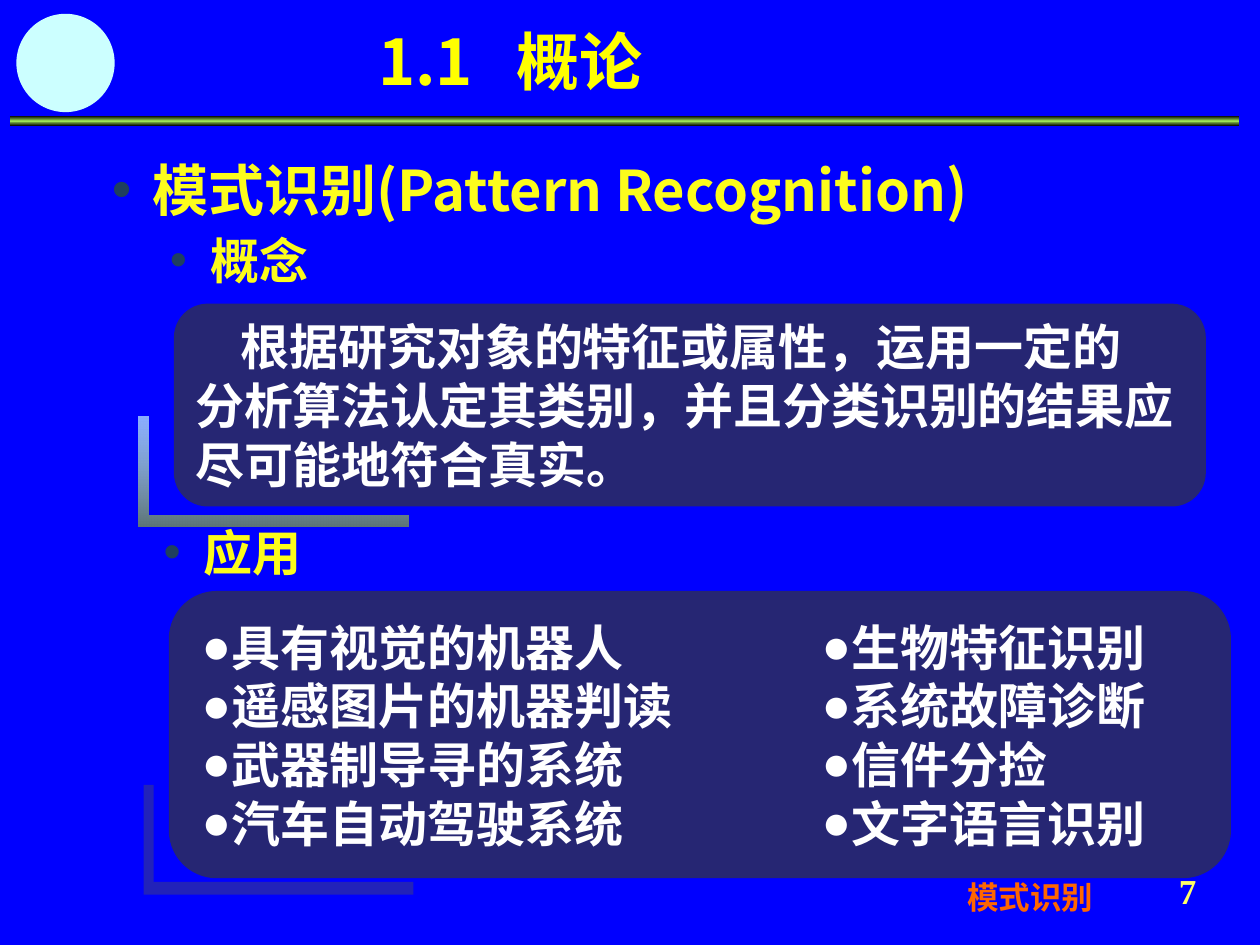
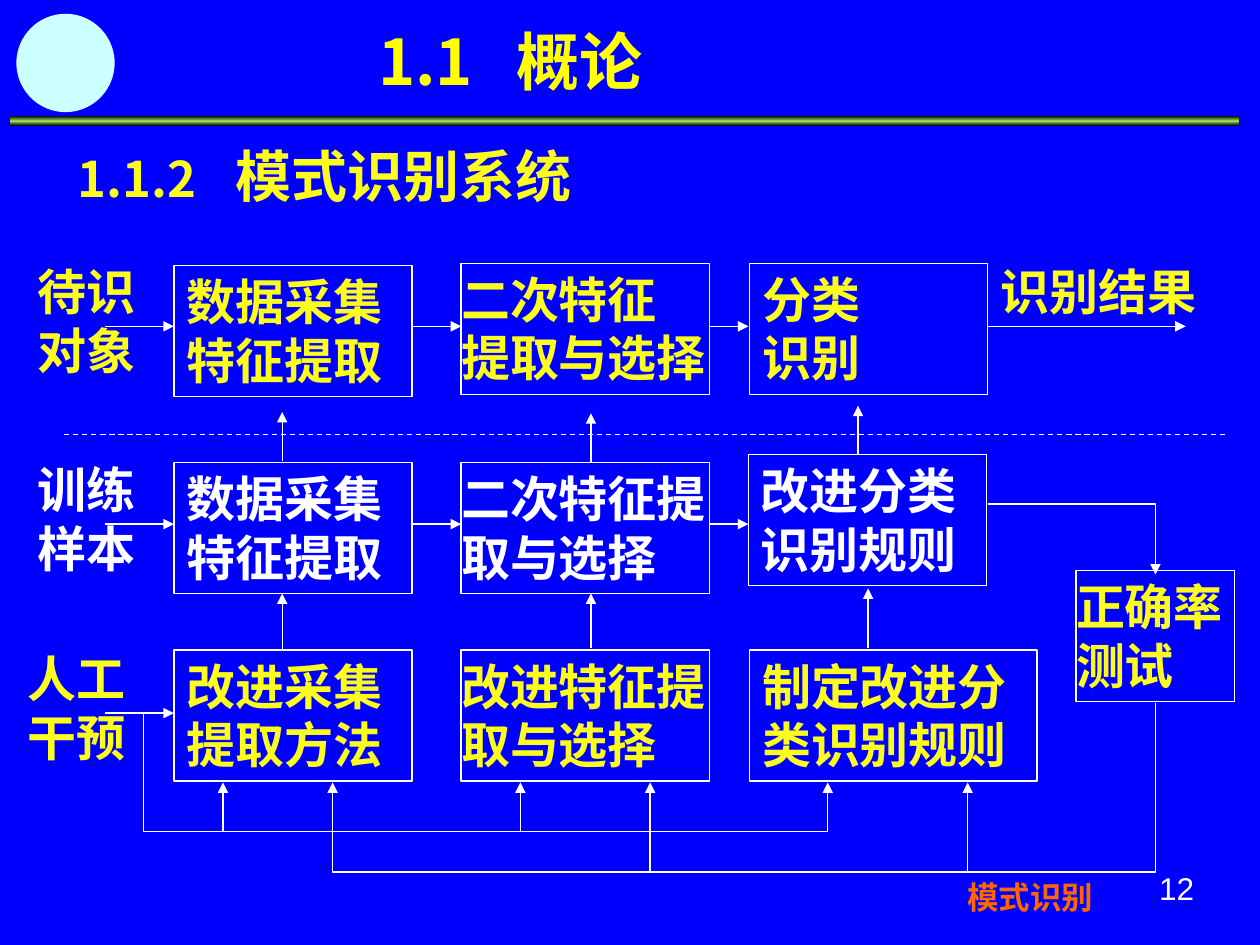
from dataclasses import dataclass

from lxml import etree
from pptx import Presentation
from pptx import util as u
from pptx.dml.color import RGBColor
from pptx.enum import dml, shapes as kinds, text
from pptx.oxml.ns import qn


@dataclass(frozen=True)
class Theme:
    back: str = "0000FF"
    title: str = "FFFF00"
    main: str = "FCFC1C"
    white: str = "FFFFFF"
    panel: str = "262673"
    dot: str = "1F3F5F"
    disc: str = "CCFFFF"
    edge: str = "000000"
    band: str = "9CE157"
    steel: str = "5E7676"
    haze: str = "333399"
    foot: str = "FF6600"
    page: str = "FFFF66"
    font: str = "Noto Sans CJK SC"
    latin: str = "Arial"
    serif: str = "Times New Roman"
    big: int = 36
    head: int = 32
    body: int = 28
    num: int = 20
    note: int = 18
    lead: float = 1.195


T = Theme()
RECT = kinds.MSO_SHAPE.RECTANGLE
ROUND = kinds.MSO_SHAPE.ROUNDED_RECTANGLE


def rgb(code):
    return RGBColor.from_string(code)


def inch(*vals):
    return [u.Inches(v) for v in vals]


def add(parent, tag, **attrs):
    """Append a DrawingML child with the given attributes."""
    node = etree.SubElement(parent, qn("a:" + tag))
    for key, val in attrs.items():
        node.set(key, str(val))
    return node


def place(shape, box):
    for key, val in zip(("left", "top", "width", "height"), inch(*box)):
        setattr(shape, key, val)


def write(shape, paras, size=T.body, color=T.main, name=T.font, bold=True,
          align=text.PP_ALIGN.LEFT, anchor=text.MSO_ANCHOR.TOP,
          side=0.1, lead=T.lead):
    """Fill a shape with paragraphs; each is a string or (string, size) runs."""
    frame = shape.text_frame
    ends = inch(side, 0.05)
    form = {"word_wrap": True, "auto_size": text.MSO_AUTO_SIZE.NONE,
            "vertical_anchor": anchor, "margin_left": ends[0],
            "margin_right": ends[0], "margin_top": ends[1],
            "margin_bottom": ends[1]}
    for key, val in form.items():
        setattr(frame, key, val)
    for i, para in enumerate(paras):
        par = frame.add_paragraph() if i else frame.paragraphs[0]
        runs = [(para, size)] if isinstance(para, str) else para
        tall = max(pts for _, pts in runs)
        form = {"alignment": align, "space_before": u.Pt(0),
                "line_spacing": u.Pt(round(tall * lead, 1))}
        for key, val in form.items():
            setattr(par, key, val)
        for words, pts in runs:
            run = par.add_run()
            run.text = words
            form = {"size": u.Pt(pts), "bold": bold, "name": name}
            for key, val in form.items():
                setattr(run.font, key, val)
            run.font.color.rgb = rgb(color)
    for props in shape.element.iter(qn("a:rPr")):
        add(props, "ea", typeface=T.font)


def note(slide, box, paras, **form):
    shape = slide.shapes.add_textbox(*inch(*box))
    write(shape, paras, **form)
    return shape


def bullet(shape, char, color, gap):
    for props in shape.element.iter(qn("a:pPr")):
        props.set("marL", str(u.Inches(gap)))
        props.set("indent", str(-u.Inches(gap)))
        add(add(props, "buClr"), "srgbClr", val=color)
        add(props, "buFont", typeface=T.latin)
        add(props, "buChar", char=char)


def tab(shape, pos):
    for props in shape.element.iter(qn("a:pPr")):
        add(add(props, "tabLst"), "tab", pos=u.Inches(pos), algn="l")


def plain(shape, fill=None):
    """Drop shadow and outline, and set a solid fill or none."""
    shape.shadow.inherit = False
    shape.line.fill.background()
    if fill:
        shape.fill.solid()
        shape.fill.fore_color.rgb = rgb(fill)
    else:
        shape.fill.background()


def block(slide, kind, box, fill=None):
    shape = slide.shapes.add_shape(kind, *inch(*box))
    plain(shape, fill)
    return shape


def grade(shape, stops):
    """Vertical gradient from (percent, colour, opacity) stops."""
    shape.fill.gradient()
    shape.fill.gradient_angle = 270
    bag = next(shape.element.iter(qn("a:gsLst")))
    for old in list(bag):
        bag.remove(old)
    for pos, color, alpha in stops:
        tone = add(add(bag, "gs", pos=pos * 1000), "srgbClr", val=color)
        if alpha < 100:
            add(tone, "alpha", val=alpha * 1000)


def trace(slide, pts, close):
    pts = [inch(*pt) for pt in pts]
    pen = slide.shapes.build_freeform(*pts[0], scale=1.0)
    pen.add_line_segments(pts[1:], close=close)
    shape = pen.convert_to_shape()
    plain(shape)
    return shape


def ink(shape):
    shape.line.color.rgb = rgb(T.white)
    shape.line.width = u.Pt(0.75)


def link(slide, *pts, dash=False):
    """Straight connector or bent outline; an arrow unless dashed."""
    if len(pts) == 2:
        shape = slide.shapes.add_connector(
            kinds.MSO_CONNECTOR.STRAIGHT, *inch(*pts[0], *pts[1]))
        add(shape.element.spPr, "effectLst")
    else:
        shape = trace(slide, pts, False)
    ink(shape)
    if dash:
        shape.line.dash_style = dml.MSO_LINE.DASH
    else:
        add(shape.element.spPr.find(qn("a:ln")), "tailEnd", type="triangle")


def base(deck, layout, page, **form):
    """New slide with the shared title, band, disc, footer and page number."""
    slide = deck.slides.add_slide(deck.slide_layouts[layout])
    band = block(slide, RECT, (0.08, 0.92, 9.75, 0.08))
    grade(band, [(0, T.edge, 100), (50, T.band, 100), (100, T.edge, 100)])
    block(slide, kinds.MSO_SHAPE.OVAL, (0.13, 0.11, 0.78, 0.78), T.disc)
    note(slide, (7.58, 6.92, 1.68, 0.4), ["模式识别"], size=T.note,
         color=T.foot, name=T.latin)
    note(slide, (9.1, 6.85, 0.65, 0.52), [page], **form)
    title = slide.shapes.title
    place(title, (2.9, -0.02, 2.82, 0.85))
    write(title, ["1.1\t概论"], size=T.big, color=T.title,
          lead=T.lead * 1.25)
    tab(title, 1.1)
    return slide


def corner(slide, left, top):
    wide, high, bar, foot = 2.14, 0.87, 0.08, 0.1
    spots = [(bar, high - foot), (bar, 0), (0, 0), (0, high),
             (wide, high), (wide, high - foot)]
    return trace(slide, [(left + x, top + y) for x, y in spots], True)


def panel(slide, box):
    shape = block(slide, ROUND, box, T.panel)
    shape.adjustments[0] = 0.167
    return shape


def topic(slide, box, words, size=T.body):
    shape = note(slide, box, [words], size=size)
    bullet(shape, "•", T.dot, 0.32)


def column(slide, index, box, items):
    """Bulleted list in a body placeholder, brought in front of the panel."""
    body = slide.placeholders[index]
    place(body, box)
    write(body, items, color=T.white)
    bullet(body, "●", T.white, 0.24)
    body.element.getparent().append(body.element)


def concept(deck):
    slide = base(deck, 3, "7", size=T.num, color=T.page, name=T.serif,
                 align=text.PP_ALIGN.CENTER)
    low = corner(slide, 1.14, 6.23)
    low.fill.solid()
    low.fill.fore_color.rgb = rgb(T.haze)
    add(next(low.element.iter(qn("a:srgbClr"))), "alpha", val=68000)
    grade(corner(slide, 1.1, 3.31), [(0, T.disc, 68), (100, T.steel, 100)])

    topic(slide, (0.79, 1.19, 7.48, 0.75), "模式识别(Pattern Recognition)", T.head)
    topic(slide, (1.25, 1.78, 1.5, 0.57), "概念")
    topic(slide, (1.2, 4.1, 1.5, 0.57), "应用")

    idea = panel(slide, (1.38, 2.41, 8.19, 1.61))
    write(idea, ["根据研究对象的特征或属性，运用一定的",
                 "分析算法认定其类别，并且分类识别的结果应",
                 "尽可能地符合真实。"],
          color=T.white, anchor=text.MSO_ANCHOR.MIDDLE, side=0.02)
    for i, props in enumerate(idea.element.iter(qn("a:pPr"))):
        props.set("marL", str(u.Inches(0.07)))
        props.set("indent", str(u.Inches(0 if i else 0.36)))

    panel(slide, (1.34, 4.69, 8.43, 2.28))
    column(slide, 1, (1.5, 4.85, 4.42, 1.97),
           ["具有视觉的机器人", "遥感图片的机器判读",
            "武器制导寻的系统", "汽车自动驾驶系统"])
    column(slide, 2, (6.42, 4.85, 3.5, 1.97),
           ["生物特征识别", "系统故障诊断", "信件分捡", "文字语言识别"])


def step(slide, left, top, wide, paras, color=T.main, side=0.1):
    shape = block(slide, RECT, (left, top, wide, 1.04))
    ink(shape)
    write(shape, paras, color=color, side=side)


def row(slide, mid, left, label, color, steps):
    """A label and its boxes, with an arrow at height mid into the first."""
    note(slide, (left, mid - 0.56, 1.1, 1.04), label, color=color)
    for x, top, wide, side, paras in steps:
        step(slide, x, top, wide, paras, color, side)
    link(slide, (0.83, mid), (1.38, mid))


def system(deck):
    slide = base(deck, 5, "12", size=T.note, color=T.white, name=T.latin,
                 bold=False)
    head = note(slide, (0.52, 1.08, 4.5, 0.71),
                [[("1.1.2\t", T.body), ("模式识别系统", T.head)]])
    tab(head, 1.25)

    row(slide, 2.59, 0.2, ["待识", "对象"], T.main, [
        (1.38, 2.11, 1.89, 0.1, ["数据采集", "特征提取"]),
        (3.66, 2.09, 1.97, 0, ["二次特征", "提取与选择"]),
        (5.95, 2.09, 1.89, 0.1, ["分类", "识别"])])
    row(slide, 4.16, 0.2, ["训练", "样本"], T.white, [
        (1.38, 3.67, 1.89, 0.1, ["数据采集", "特征提取"]),
        (3.66, 3.67, 1.97, 0, ["二次特征提取与选择"]),
        (5.94, 3.61, 1.89, 0.1, ["改进分类识别规则"])])
    row(slide, 5.66, 0.12, ["人工", "干预"], T.main, [
        (1.38, 5.16, 1.89, 0.1, ["改进采集", "提取方法"]),
        (3.66, 5.16, 1.97, 0, ["改进特征提取与选择"]),
        (5.95, 5.16, 2.28, 0.1, ["制定改进分类识别规则"])])
    note(slide, (7.84, 2.03, 1.81, 0.57), ["识别结果"])
    step(slide, 8.54, 4.53, 1.26, ["正确率", "测试"], side=0)

    for mid in (2.59, 4.16):
        for start, end in ((3.27, 3.66), (5.63, 5.94)):
            link(slide, (start, mid), (end, mid))
    link(slide, (7.84, 2.59), (9.41, 2.59))
    link(slide, (0.51, 3.45), (9.73, 3.45), dash=True)

    rises = [(2.24, 3.66, 3.27), (4.69, 3.67, 3.28), (6.81, 3.61, 3.22),
             (2.24, 5.15, 4.71), (4.69, 5.14, 4.71), (6.89, 5.14, 4.67),
             (1.77, 6.6, 6.21), (4.13, 6.6, 6.21),
             (5.16, 6.92, 6.21), (7.68, 6.92, 6.21)]
    for x, low, high in rises:
        link(slide, (x, low), (x, high))
    link(slide, (1.14, 5.66), (1.14, 6.6), (6.57, 6.6), (6.57, 6.21))
    link(slide, (7.84, 4), (9.17, 4), (9.17, 4.56))
    link(slide, (9.17, 5.58), (9.17, 6.92), (2.64, 6.92), (2.64, 6.21))


def main():
    deck = Presentation()
    deck.slide_width, deck.slide_height = inch(10, 7.5)
    back = deck.slide_master.background.fill
    back.solid()
    back.fore_color.rgb = rgb(T.back)
    concept(deck)
    system(deck)
    deck.save("out.pptx")


if __name__ == "__main__":
    main()
